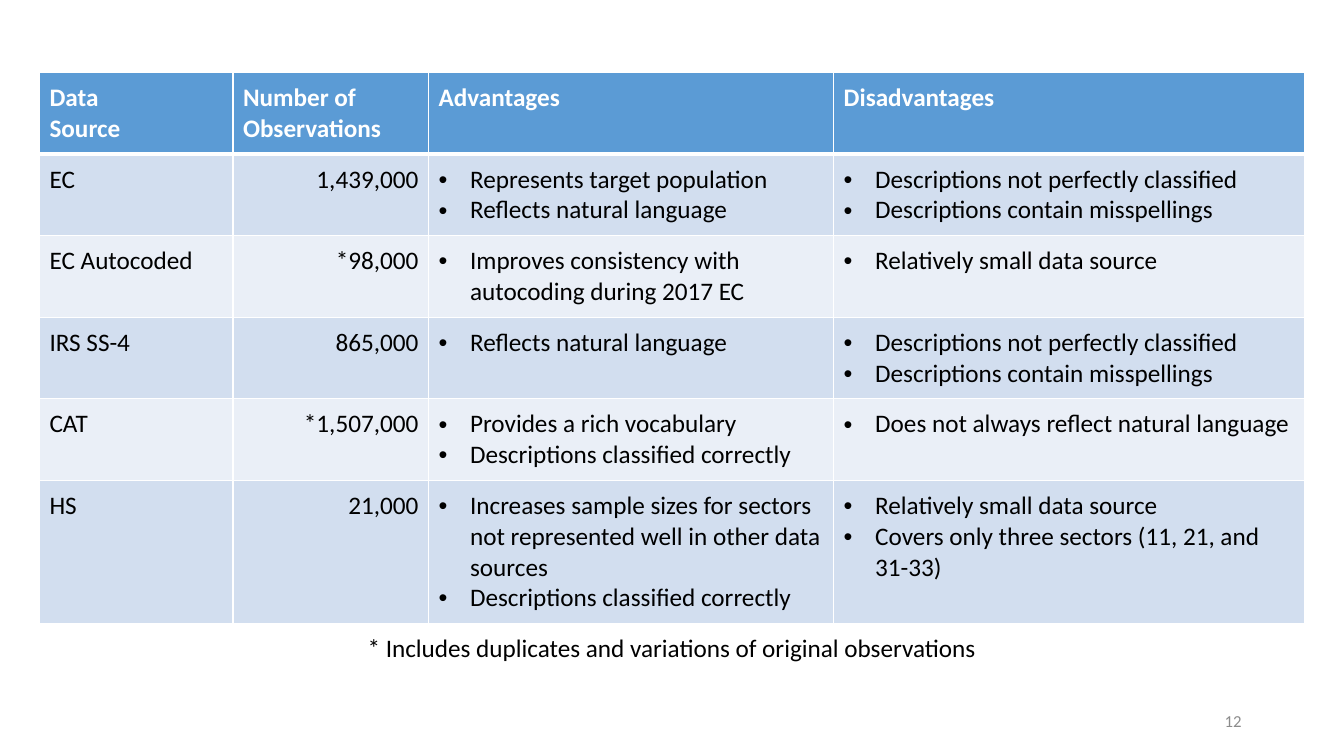
import lxml.etree
import pptx
import pptx.dml.color
import pptx.enum.text
import pptx.oxml
import pptx.oxml.ns
import pptx.util

Pt = pptx.util.Pt
ALIGN = pptx.enum.text.PP_ALIGN
ANCHOR = pptx.enum.text.MSO_ANCHOR

COLORS = {
    "header": "5B9BD5",
    "band_dark": "D2DEEF",
    "band_light": "EAEFF7",
    "white": "FFFFFF",
    "black": "000000",
    "gray": "8C8C8C",
}

HEADER = [["Data", "Source"], ["Number of", "Observations"], ["Advantages"], ["Disadvantages"]]
SOURCES = [
    [["EC"], ["1,439,000"],
     ["Represents target population", "Reflects natural language"],
     ["Descriptions not perfectly classified", "Descriptions contain misspellings"]],
    [["EC Autocoded"], ["*98,000"],
     ["Improves consistency with autocoding during 2017 EC"],
     ["Relatively small data source"]],
    [["IRS SS-4"], ["865,000"],
     ["Reflects natural language"],
     ["Descriptions not perfectly classified", "Descriptions contain misspellings"]],
    [["CAT"], ["*1,507,000"],
     ["Provides a rich vocabulary", "Descriptions classified correctly"],
     ["Does not always reflect natural language"]],
    [["HS"], ["21,000"],
     ["Increases sample sizes for sectors not represented well in other data sources",
      "Descriptions classified correctly"],
     ["Relatively small data source", "Covers only three sectors (11, 21, and 31-33)"]],
]
COL_WIDTHS = [138.2, 139.7, 289.4, 336.2]
ROW_HEIGHTS = [58.3] * 5 + [102.2]


class SlideBuilder:
    """Holds the text style and the current slide, and adds elements to it."""

    def __init__(self, slide, font="Calibri", size=18):
        self.slide = slide
        self.font = font
        self.size = size

    def color(self, name):
        return pptx.dml.color.RGBColor.from_string(COLORS[name])

    def add_lines(self, tf, lines, color="black", size=None, bold=False, align=ALIGN.LEFT, bullet=False):
        for i, line in enumerate(lines):
            p = tf.paragraphs[0] if i == 0 else tf.add_paragraph()
            p.alignment = align
            if bullet:
                self.bullet(p)
            r = p.add_run()
            r.text = line
            r.font.name = self.font
            r.font.size = Pt(size or self.size)
            r.font.bold = bold
            r.font.color.rgb = self.color(color)

    def bullet(self, p, indent=22.5):
        pPr = p._p.get_or_add_pPr()
        pPr.set("marL", str(Pt(indent)))
        pPr.set("indent", str(-Pt(indent)))
        font = lxml.etree.SubElement(pPr, pptx.oxml.ns.qn("a:buFont"))
        font.set("typeface", "Arial")
        char = lxml.etree.SubElement(pPr, pptx.oxml.ns.qn("a:buChar"))
        char.set("char", "•")

    def text(self, left, top, width, height, line, anchor=ANCHOR.TOP, **style):
        sp = self.slide.shapes.add_textbox(Pt(left), Pt(top), Pt(width), Pt(height))
        tf = sp.text_frame
        tf.word_wrap = True
        tf.vertical_anchor = anchor
        self.add_lines(tf, [line], **style)

    def borders(self, cell, **widths):
        tcPr = cell._tc.get_or_add_tcPr()
        for i, side in enumerate("LRTB"):
            ln = pptx.oxml.parse_xml(
                f'<a:ln{side} {pptx.oxml.ns.nsdecls("a")} w="{Pt(widths.get(side, 1))}">'
                f'<a:solidFill><a:srgbClr val="{COLORS["white"]}"/></a:solidFill></a:ln{side}>')
            tcPr.insert(i, ln)

    def cell(self, cell, lines, fill, **style):
        cell.fill.solid()
        cell.fill.fore_color.rgb = self.color(fill)
        cell.margin_left = cell.margin_right = Pt(7.2)
        cell.margin_top = cell.margin_bottom = Pt(7.2)
        self.add_lines(cell.text_frame, lines, **style)

    def table(self, left, top, col_widths, row_heights, header, rows):
        frame = self.slide.shapes.add_table(
            len(row_heights), len(col_widths), Pt(left), Pt(top),
            Pt(sum(col_widths)), Pt(sum(row_heights)))
        table = frame.table
        for column, width in zip(table.columns, col_widths):
            column.width = Pt(width)
        for row, height in zip(table.rows, row_heights):
            row.height = Pt(height)
        for c, lines in enumerate(header):
            self.cell(table.cell(0, c), lines, "header", color="white", bold=True)
            self.borders(table.cell(0, c), B=3)
        for r, row in enumerate(rows, 1):
            fill = "band_dark" if r % 2 else "band_light"
            for c, lines in enumerate(row):
                align = ALIGN.RIGHT if c == 1 else ALIGN.LEFT
                self.cell(table.cell(r, c), lines, fill, align=align, bullet=c > 1)
                self.borders(table.cell(r, c), T=3 if r == 1 else 1)


def main():
    prs = pptx.Presentation()
    prs.slide_width, prs.slide_height = Pt(960), Pt(540)
    s = SlideBuilder(prs.slides.add_slide(prs.slide_layouts[6]))
    s.text(678, 500.5, 216, 28.8, "12", anchor=ANCHOR.MIDDLE, color="gray", size=12, align=ALIGN.RIGHT)
    s.table(28.2, 51.8, COL_WIDTHS, ROW_HEIGHTS, HEADER, SOURCES)
    s.text(211.7, 447.8, 536.4, 29, "* Includes duplicates and variations of original observations",
           align=ALIGN.CENTER)
    prs.save("out.pptx")


if __name__ == "__main__":
    main()
